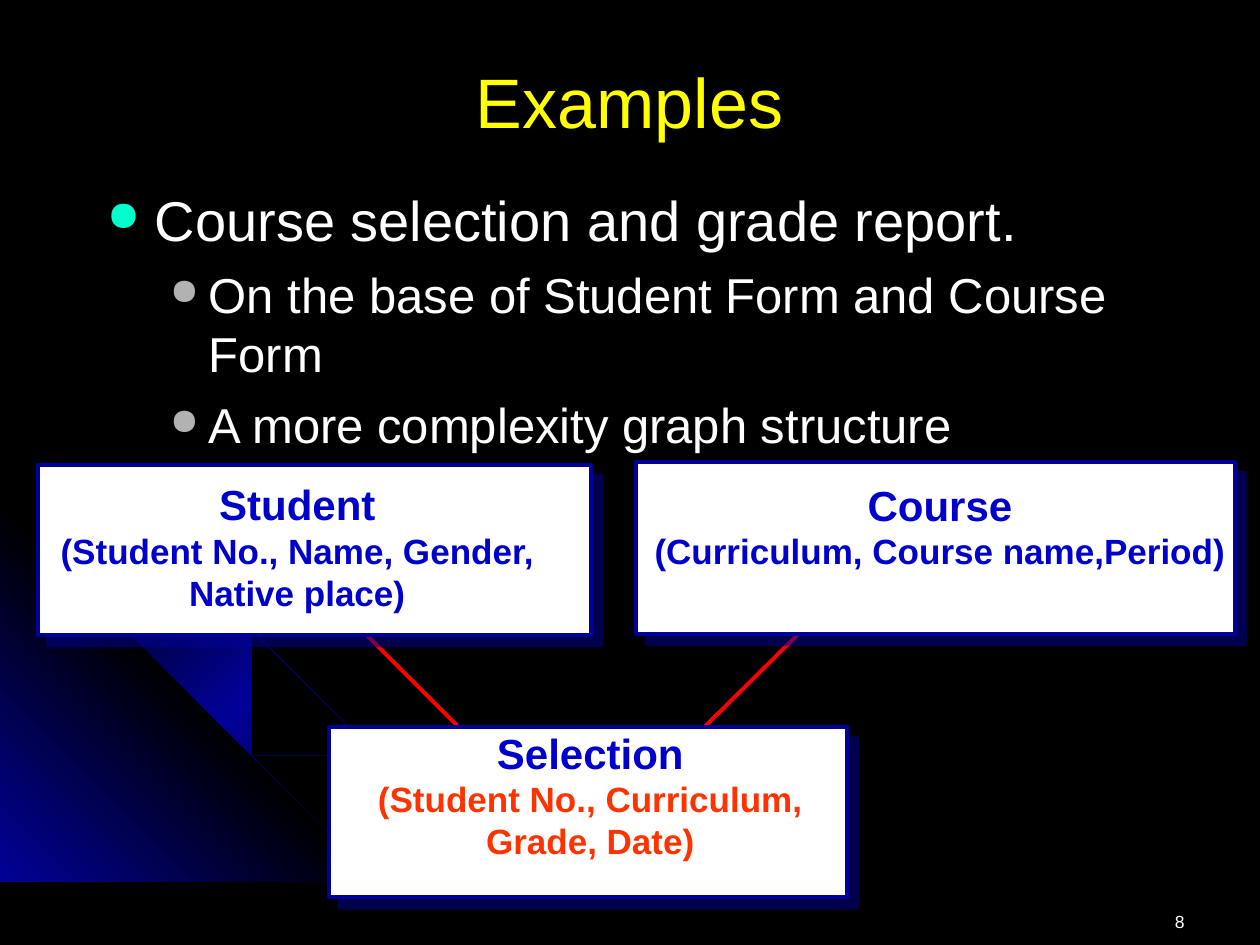
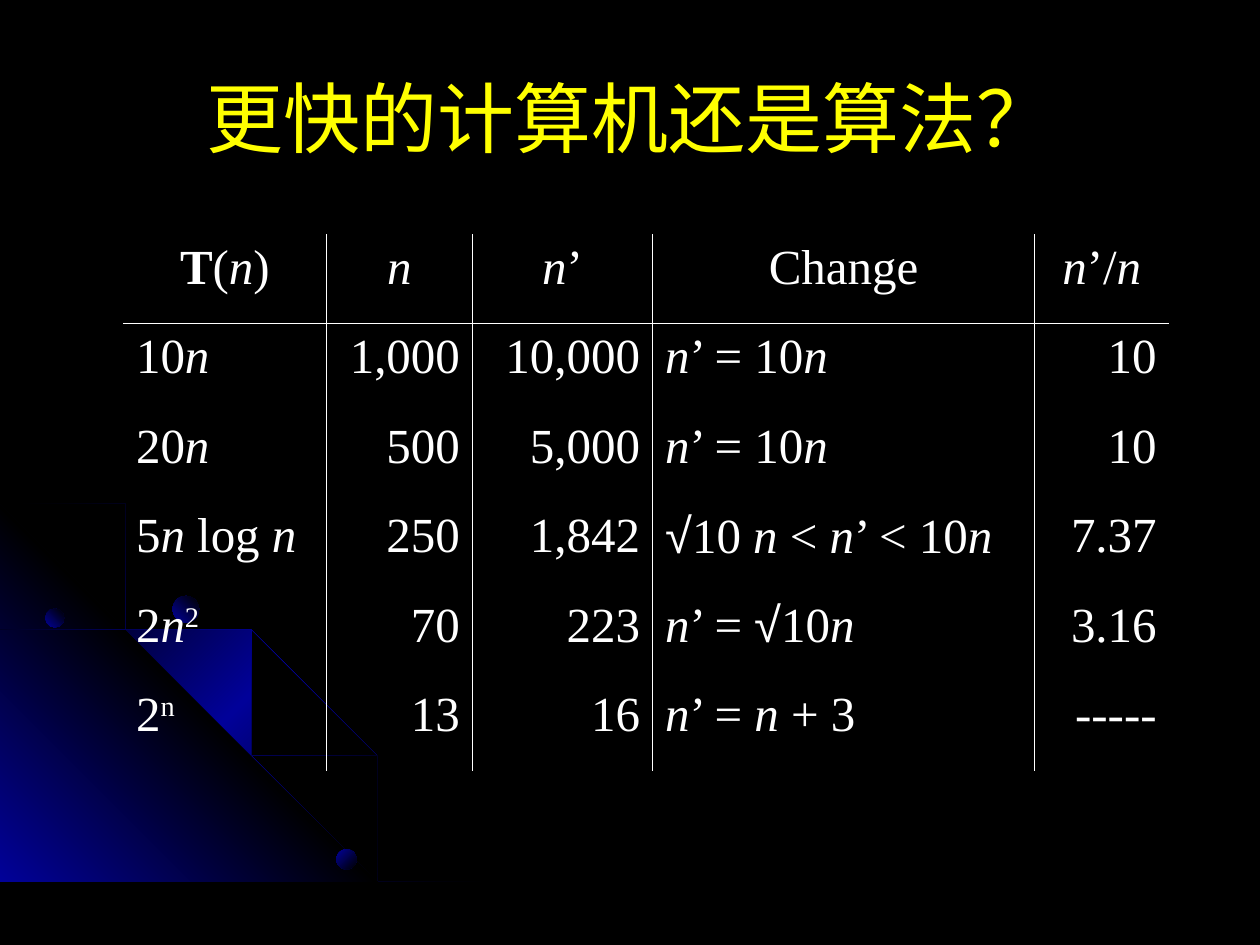
from itertools import groupby

from pptx import Presentation
from pptx.dml.color import RGBColor
from pptx.enum.shapes import MSO_CONNECTOR as Link, MSO_SHAPE as Form
from pptx.enum.text import MSO_ANCHOR as Anchor, PP_ALIGN as Align
from pptx.oxml import parse_xml
from pptx.oxml.ns import nsdecls, qn
from pptx.util import Inches, Pt

BLACK = RGBColor(0x00, 0x00, 0x00)
WHITE = RGBColor(0xFF, 0xFF, 0xFF)
YELLOW = RGBColor(0xFF, 0xFF, 0x00)
NAVY = RGBColor(0x01, 0x01, 0x99)
BLUE = RGBColor(0x00, 0x00, 0xCC)
RED = RGBColor(0xFF, 0x00, 0x00)
ORANGE = RGBColor(0xFF, 0x33, 0x00)
MINT = RGBColor(0x00, 0xFF, 0xCC)
GRAY = RGBColor(0xB2, 0xB2, 0xB2)
SANS, SERIF = "Arial", "Times New Roman"

OUTER = [
    (0.57, 4.47), (0.28, 4.41), (0, 4.35), (0, 4.38), (0.28, 4.43),
    (0.56, 4.49), (0.97, 4.61), (1.35, 4.78), (1.73, 4.99), (2.08, 5.23),
    (2.41, 5.49), (2.71, 5.79), (2.98, 6.12), (3.23, 6.49), (3.37, 6.73),
    (3.5, 6.98), (3.6, 7.23), (3.7, 7.49), (3.72, 7.49), (3.62, 7.23),
    (3.52, 6.98), (3.39, 6.73), (3.25, 6.48), (3, 6.11), (2.72, 5.78),
    (2.42, 5.48), (2.09, 5.21), (1.74, 4.97), (1.36, 4.77), (0.98, 4.59),
]
INNER = [
    (2.85, 7.14), (2.94, 7.32), (3.01, 7.49), (3.03, 7.49), (2.96, 7.3),
    (2.86, 7.12), (2.66, 6.76), (2.42, 6.4), (2.15, 6.06), (1.84, 5.76),
    (1.52, 5.49), (1.17, 5.26), (0.79, 5.05), (0.41, 4.88), (0, 4.75),
    (0, 4.77), (0.39, 4.9), (0.77, 5.07), (1.15, 5.28), (1.5, 5.51),
    (1.83, 5.78), (2.13, 6.08), (2.4, 6.42), (2.65, 6.77),
]
MIDDLE = [
    (0, 4.42), (0, 4.44), (0.36, 4.57), (0.74, 4.75), (1.09, 4.94),
    (1.42, 5.18), (1.73, 5.44), (2.02, 5.75), (2.27, 6.05), (2.52, 6.41),
    (2.67, 6.67), (2.8, 6.94), (2.92, 7.22), (3.01, 7.49), (3.03, 7.49),
    (2.94, 7.2), (2.82, 6.93), (2.69, 6.65), (2.54, 6.39), (2.29, 6.03),
    (2.04, 5.73), (1.75, 5.43), (1.44, 5.16), (1.11, 4.93), (0.76, 4.73),
    (0.39, 4.55),
]
CORNER = [(3.22, 7.49), (0, 7.49), (0, 4.27)]
DOTS = [(0.36, 4.83, 0.15, 315), (2.67, 6.74, 0.16, 45), (1.37, 4.73, 0.21, 315)]

WIDTHS = [1.61, 1.16, 1.43, 3.03, 1.07]
SIDES = [Align.LEFT, Align.RIGHT, Align.RIGHT, Align.LEFT, Align.RIGHT]
ROWS = [
    ["T**(*n*)", "*n*", "*n*’", "Change", "*n*’/*n*"],
    ["10*n*", "1,000", "10,000", "*n*’ = 10*n*", "10"],
    ["20*n*", "500", "5,000", "*n*’ = 10*n*", "10"],
    ["5*n* log *n*", "250", "1,842", "√10 *n* < *n*’ < 10*n*", "7.37"],
    ["2*n*^2", "70", "223", "*n*’ = √10*n*", "3.16"],
    ["2^n", "13", "16", "*n*’ = *n* + 3", "-----"],
]


def place(x, y, w, h):
    return Inches(x), Inches(y), Inches(w), Inches(h)


def style(font, size, color, name=SANS, bold=False):
    font.size, font.name, font.bold = Pt(size), name, bold
    font.color.rgb = color


def shade(shape, colors, angle):
    shape.shadow.inherit = False
    shape.line.fill.background()
    shape.fill.background()
    step = 100000 // (len(colors) - 1)
    stops = "".join(
        f'<a:gs pos="{k * step}"><a:srgbClr val="{color}"/></a:gs>'
        for k, color in enumerate(colors))
    grad = parse_xml(
        f'<a:gradFill {nsdecls("a")} rotWithShape="1"><a:gsLst>{stops}</a:gsLst>'
        f'<a:lin ang="{angle * 60000}" scaled="0"/></a:gradFill>')
    props = shape._element.spPr
    props.replace(props.find(qn("a:noFill")), grad)


def add_curve(slide, points, colors, angle):
    pen = slide.shapes.build_freeform(*points[0], scale=Inches(1))
    pen.add_line_segments(points[1:], close=True)
    shade(pen.convert_to_shape(), colors, angle)


def add_decor(slide):
    glow, beam = [BLACK, NAVY, BLACK], [NAVY, BLACK, NAVY]
    add_curve(slide, OUTER, glow, 45)
    add_curve(slide, CORNER, beam, 315)
    for arc in (INNER, MIDDLE):
        add_curve(slide, arc, glow, 45)


def add_dots(slide):
    for x, y, size, angle in DOTS:
        dot = slide.shapes.add_shape(Form.OVAL, *place(x, y, size, size))
        shade(dot, [NAVY, BLACK], angle)


def add_slide(deck):
    slide = deck.slides.add_slide(deck.slide_layouts[5])
    add_decor(slide)
    return slide


def set_title(slide, text, area, size):
    title = slide.shapes.title
    title.left, title.top, title.width, title.height = place(*area)
    frame = title.text_frame
    frame.text = text
    frame.vertical_anchor = Anchor.MIDDLE
    para = frame.paragraphs[0]
    para.alignment = Align.CENTER
    style(para.runs[0].font, size, YELLOW)


def add_text(slide, area, lines, align, anchor=Anchor.TOP):
    frame = slide.shapes.add_textbox(*place(*area)).text_frame
    frame.word_wrap = True
    frame.vertical_anchor = anchor
    frame.text = "\n".join(text for text, *_ in lines)
    for para, (_, size, color, bold) in zip(frame.paragraphs, lines):
        para.alignment = align
        style(para.runs[0].font, size, color, bold=bold)
    return frame


def add_points(slide, area, items):
    lines = [(text, 28 if level else 32, WHITE, False) for text, level in items]
    frame = add_text(slide, area, lines, Align.LEFT)
    for k, (para, (_, level)) in enumerate(zip(frame.paragraphs, items)):
        indent, hang, color = (0.81, 0.31, GRAY) if level else (0.38, 0.38, MINT)
        para.level = level
        props = para._p.get_or_add_pPr()
        props.set("marL", str(Inches(indent)))
        props.set("indent", str(-Inches(hang)))
        for tag in (f'buClr {nsdecls("a")}><a:srgbClr val="{color}"/></a:buClr',
                    f'buSzPct {nsdecls("a")} val="75000"/',
                    f'buChar {nsdecls("a")} char="●"/'):
            props.append(parse_xml(f"<a:{tag}>"))
        if k:
            para.space_before = Pt(7)


def add_line(slide, x1, y1, x2, y2):
    line = slide.shapes.add_connector(Link.STRAIGHT, *place(x1, y1, x2, y2))
    line.line.color.rgb = RED
    line.line.width = Pt(2.25)
    line._element.spPr.append(parse_xml(f'<a:effectLst {nsdecls("a")}/>'))


def add_card(slide, area, label, head, note, color=BLUE):
    card = slide.shapes.add_shape(Form.RECTANGLE, *place(*area))
    card.fill.solid()
    card.fill.fore_color.rgb = WHITE
    card.line.color.rgb = NAVY
    card.line.width = Pt(2.25)
    card.shadow.inherit = False
    card._element.spPr.find(qn("a:effectLst")).append(parse_xml(
        f'<a:outerShdw {nsdecls("a")} dist="{Pt(8.5)}" dir="2700000" algn="ctr" '
        f'rotWithShape="0"><a:srgbClr val="{NAVY}"><a:alpha val="50000"/>'
        '</a:srgbClr></a:outerShdw>'))
    lines = [(head, 24, BLUE, True), (note, 20, color, True)]
    add_text(slide, label, lines, Align.CENTER, Anchor.MIDDLE)


def add_run(para, text, italic=False, name=SERIF):
    run = para.add_run()
    run.text = text
    style(run.font, 28, WHITE, name)
    run.font.italic = italic
    return run


def fill_math(para, text):
    base, _, power = text.partition("^")
    for k, part in enumerate(base.split("*")):
        for root, chars in groupby(part, lambda char: char == "√"):
            add_run(para, "".join(chars), k % 2 == 1, SANS if root else SERIF)
    if power:
        add_run(para, power)._r.get_or_add_rPr().set("baseline", "30000")


def set_edges(cell, edges):
    props = cell._tc.get_or_add_tcPr()
    for side in "LRTB":
        paint = (f'<a:solidFill><a:srgbClr val="{WHITE}"/></a:solidFill>'
                 if side in edges else "<a:noFill/>")
        props.append(parse_xml(
            f'<a:ln{side} {nsdecls("a")} w="{Pt(0.45)}">{paint}</a:ln{side}>'))
    cell.fill.background()


def add_grid(slide, x, y, height):
    count, last = len(ROWS), len(WIDTHS) - 1
    area = place(x, y, sum(WIDTHS), height * count)
    table = slide.shapes.add_table(count, last + 1, *area).table
    table.first_row = table.horz_banding = False
    for col, width in zip(table.columns, WIDTHS):
        col.width = Inches(width)
    for r, row in enumerate(ROWS):
        table.rows[r].height = Inches(height)
        for c, text in enumerate(row):
            cell = table.cell(r, c)
            para = cell.text_frame.paragraphs[0]
            para.alignment = SIDES[c] if r else Align.CENTER
            fill_math(para, text)
            edges = ("L" if c else "") + ("R" if c < last else "")
            set_edges(cell, edges + {0: "B", 1: "T"}.get(r, ""))
    table.cell(0, 0).text_frame.paragraphs[0].runs[0].font.bold = True


def add_forms(deck):
    slide = add_slide(deck)
    add_text(slide, (7.17, 7.18, 2.33, 0.3), [("8", 10, WHITE, False)], Align.RIGHT)
    set_title(slide, "Examples", (0.9, 0.3, 8.19, 1), 40)
    for ends in ((6.49, 4.88, 5.58, 5.78), (2.75, 4.88, 3.63, 5.76)):
        add_line(slide, *ends)
    add_card(slide, (0.3, 3.69, 4.39, 1.35), (0.08, 3.75, 4.56, 1.17),
             "Student", "(Student No., Name, Gender, Native place)")
    add_card(slide, (5.05, 3.67, 4.75, 1.36), (5, 3.75, 4.92, 0.84),
             "Course", "(Curriculum, Course name,Period)")
    add_card(slide, (2.61, 5.77, 4.11, 1.35), (2.56, 5.72, 4.25, 1.17),
             "Selection", "(Student No., Curriculum, Grade, Date)", ORANGE)
    add_points(slide, (0.75, 1.42, 8.5, 2.25), [
        ("Course selection and grade report.", 0),
        ("On the base of Student Form and Course Form", 1),
        ("A more complexity graph structure", 1),
    ])


def add_speeds(deck):
    slide = add_slide(deck)
    add_dots(slide)
    set_title(slide, "更快的计算机还是算法？", (0.5, 0.3, 9, 1.25), 44)
    add_grid(slide, 0.98, 1.86, 0.71)


def main():
    deck = Presentation()
    deck.slide_width, deck.slide_height = Inches(10), Inches(7.5)
    back = deck.slide_master.background.fill
    back.solid()
    back.fore_color.rgb = BLACK
    add_forms(deck)
    add_speeds(deck)
    deck.save("out.pptx")


if __name__ == "__main__":
    main()
